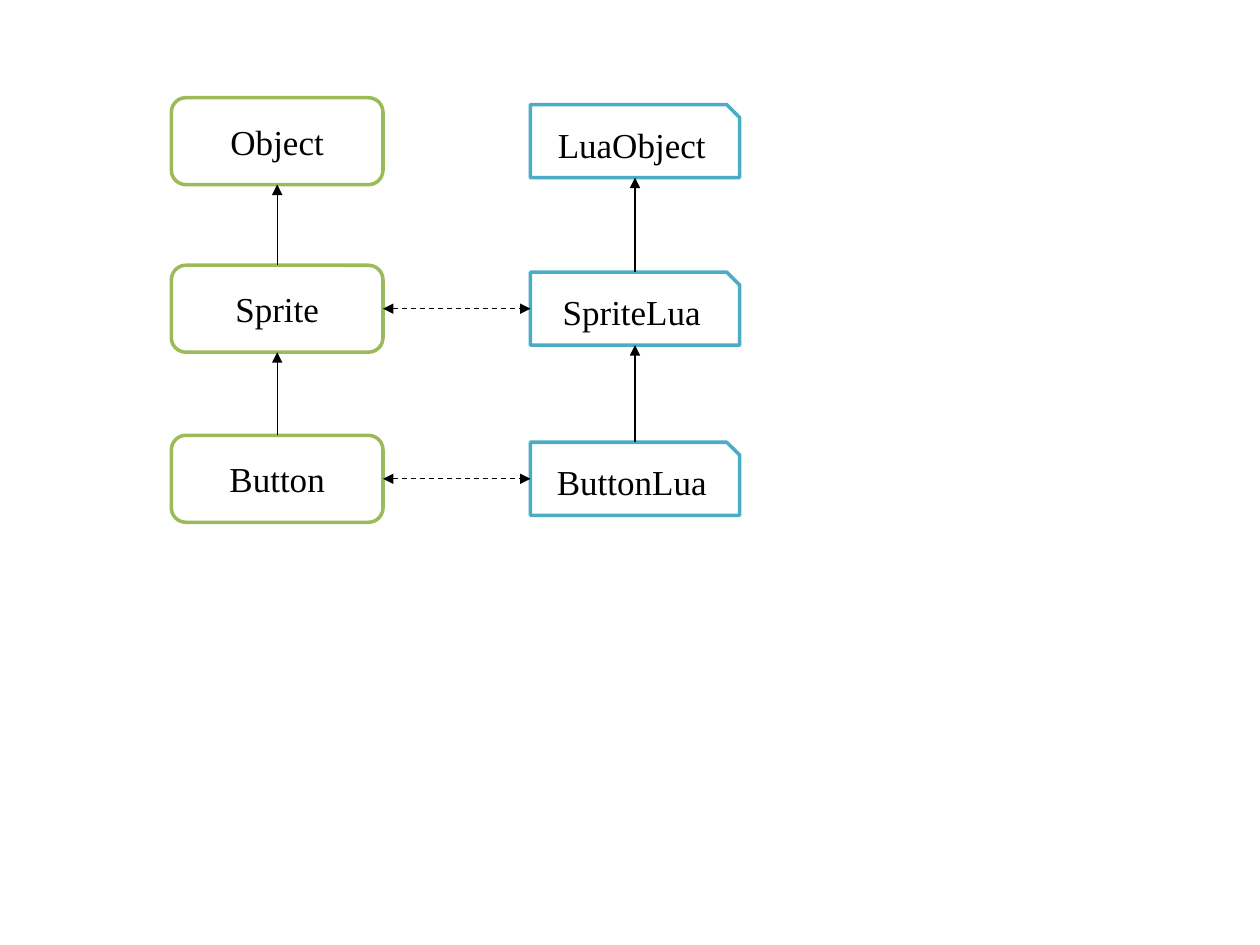
from dataclasses import dataclass
from lxml import etree
from pptx import Presentation
from pptx.dml.color import RGBColor
from pptx.enum import dml, shapes, text
from pptx.oxml.ns import qn
from pptx.util import Inches, Pt

HUES = {"white": "FFFFFF", "black": "000000", "green": "9BBB59", "blue": "4BACC6"}
ROWS = (1.12, 2.45, 3.8)  # centre height of each class level
TOP, LEFT, BOTTOM, RIGHT = range(4)


@dataclass(frozen=True)
class Column:
    kind: shapes.MSO_SHAPE
    mid: float
    width: float
    height: float
    bend: float
    hue: str
    names: tuple[str, ...]
    glue: bool  # sites follow the plain rectangle order


COLS = (
    Column(shapes.MSO_SHAPE.ROUNDED_RECTANGLE, 2.2, 1.68, 0.69, 0.167, "green",
           ("Object", "Sprite", "Button"), True),
    Column(shapes.MSO_SHAPE.SNIP_1_RECTANGLE, 5.04, 1.66, 0.58, 0.175, "blue",
           ("LuaObject", "SpriteLua", "ButtonLua"), False),
)


def color(name: str) -> RGBColor:
    return RGBColor.from_string(HUES[name])


def add_box(slide, col: Column, name: str, mid: float):
    box = slide.shapes.add_shape(
        col.kind, Inches(col.mid - col.width / 2), Inches(mid - col.height / 2),
        Inches(col.width), Inches(col.height))
    box.adjustments[0] = col.bend
    box.shadow.inherit = False
    box.fill.solid()
    box.fill.fore_color.rgb = color("white")
    box.line.color.rgb = color(col.hue)
    box.line.width = Pt(2)
    frame = box.text_frame
    frame.vertical_anchor = text.MSO_ANCHOR.MIDDLE
    para = frame.paragraphs[0]
    para.text = name
    para.alignment = text.PP_ALIGN.CENTER
    para.font.name = "Times New Roman"
    para.font.size = Pt(20)
    para.font.color.rgb = color("black")
    return box


def side(box, site: int) -> tuple[int, int]:
    """Middle point of one side of a box."""
    x, y = box.left + box.width // 2, box.top + box.height // 2
    return {TOP: (x, box.top), LEFT: (box.left, y),
            BOTTOM: (x, box.top + box.height), RIGHT: (box.left + box.width, y)}[site]


def add_arrow(slide, start, out: int, end, into: int, glue: tuple[bool, bool],
              both: bool = False) -> None:
    line = slide.shapes.add_connector(
        shapes.MSO_CONNECTOR.STRAIGHT, *side(start, out), *side(end, into))
    if glue[0]:
        line.begin_connect(start, out)
    if glue[1]:
        line.end_connect(end, into)
    line.line.color.rgb = color("black")
    line.line.width = Pt(0.75)
    if both:
        line.line.dash_style = dml.MSO_LINE.DASH
    # Arrowheads, and no shadow
    for tag in ("a:headEnd", "a:tailEnd") if both else ("a:tailEnd",):
        etree.SubElement(line.line._get_or_add_ln(), qn(tag), type="triangle")
    etree.SubElement(line._element.spPr, qn("a:effectLst"))


def main() -> None:
    deck = Presentation()
    deck.slide_width, deck.slide_height = Inches(10), Inches(7.5)
    slide = deck.slides.add_slide(deck.slide_layouts[6])

    # Class boxes
    grid = [[add_box(slide, col, name, mid) for name, mid in zip(col.names, ROWS)]
            for col in COLS]

    # Inheritance, child up to parent
    for col, boxes in zip(COLS, grid):
        for parent, child in zip(boxes, boxes[1:]):
            add_arrow(slide, child, TOP, parent, BOTTOM, (col.glue, col.glue))

    # Bindings between each class and its script twin
    for host, twin in list(zip(*grid))[1:]:
        add_arrow(slide, host, RIGHT, twin, LEFT, (COLS[0].glue, COLS[1].glue), both=True)

    deck.save("out.pptx")


if __name__ == "__main__":
    main()
